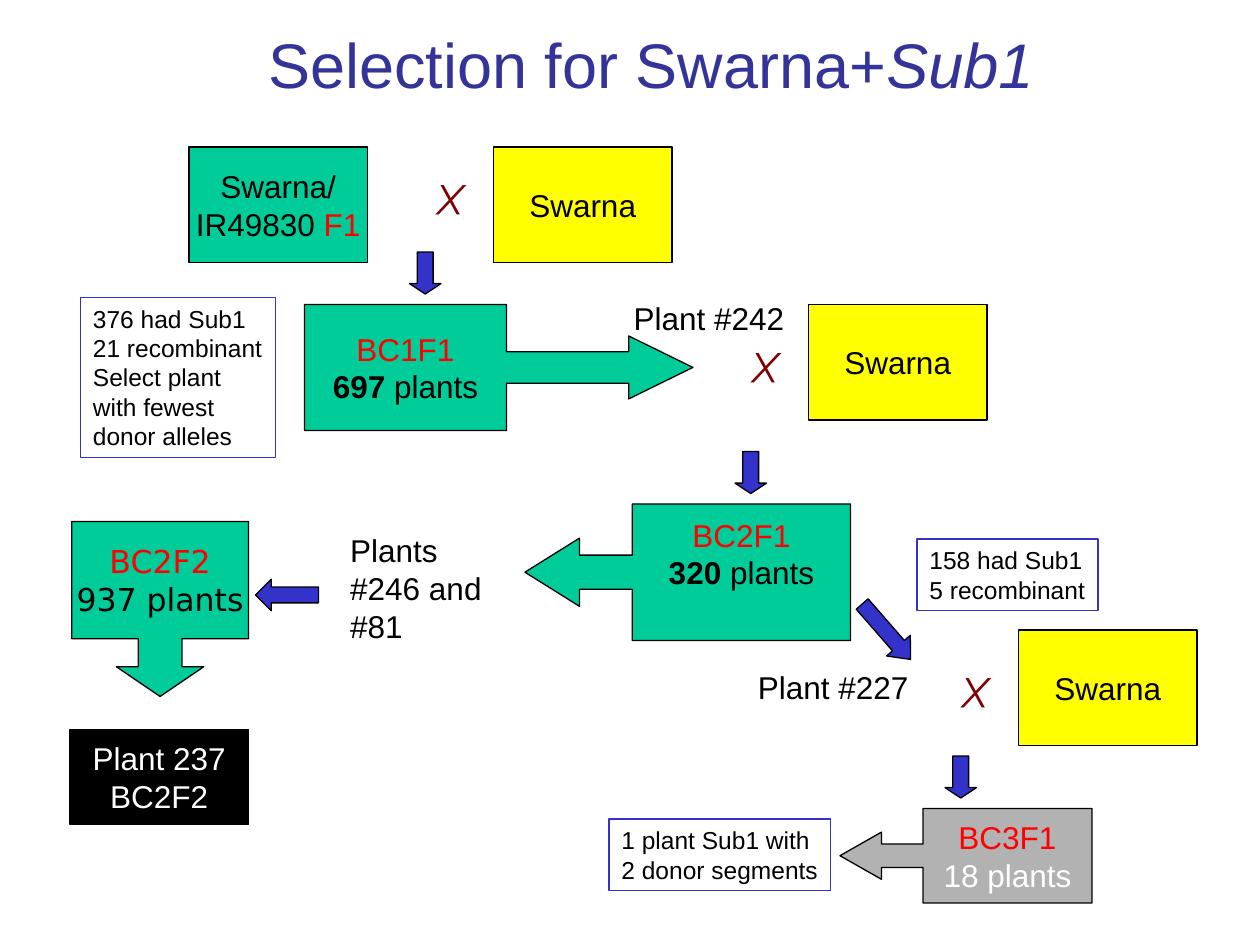
import pptx
import pptx.util
import pptx.dml.color
import pptx.enum.shapes
import pptx.enum.text
import pptx.oxml

Pt = pptx.util.Pt
SHAPE = pptx.enum.shapes.MSO_SHAPE
ALIGN = pptx.enum.text.PP_ALIGN
ANCHOR = pptx.enum.text.MSO_ANCHOR
GREEN, YELLOW, GRAY, BLUE = "00CC99", "FFFF00", "B2B2B2", "3333CC"
BLACK, WHITE, RED, MAROON, NAVY = "000000", "FFFFFF", "FF0000", "800000", "333399"


def color(fill, value):
    fill.solid()
    fill.fore_color.rgb = pptx.dml.color.RGBColor.from_string(value)


def write(box, paragraphs, size=18, font="Arial", align=ALIGN.CENTER, anchor=ANCHOR.MIDDLE, wrap=False):
    frame = box.text_frame
    frame.word_wrap = wrap
    frame.vertical_anchor = anchor
    for index, pieces in enumerate(paragraphs):
        para = frame.paragraphs[0] if index == 0 else frame.add_paragraph()
        para.alignment = align
        for text, shade, *style in pieces:
            span = para.add_run()
            span.text = text
            span.font.size = Pt(size)
            span.font.name = font
            span.font.bold = "bold" in style
            span.font.italic = "italic" in style
            color(span.font.fill, shade)


deck = pptx.Presentation()
deck.slide_width, deck.slide_height = Pt(720), Pt(540)
page = deck.slides.add_slide(deck.slide_layouts[5])

title = page.shapes.title
title.left, title.top, title.width, title.height = Pt(48), Pt(12), Pt(648), Pt(48)
write(title, [[("Selection for Swarna+", NAVY), ("Sub1", NAVY, "italic")]], size=36, wrap=True)

swarna = [[("Swarna", BLACK)]]
generations = [
    (SHAPE.RECTANGLE, 108, 84, 102, 66, GREEN, [], "Arial",
     [[("Swarna/", BLACK)], [("IR49830 ", BLACK), ("F1", RED)]]),
    (SHAPE.RECTANGLE, 282, 84, 102, 66, YELLOW, [], "Arial", swarna),
    (SHAPE.RECTANGLE, 462, 174, 102, 66, YELLOW, [], "Arial", swarna),
    (SHAPE.RECTANGLE, 582, 360, 102, 66, YELLOW, [], "Arial", swarna),
    (SHAPE.RIGHT_ARROW_CALLOUT, 174, 174, 222, 72, GREEN, [0.25, 0.25, 0.51, 0.52], "Arial",
     [[("BC1F1", RED)], [("697", BLACK, "bold"), (" plants", BLACK)]]),
    (SHAPE.LEFT_ARROW_CALLOUT, 300, 288, 186, 78, GREEN, [0.25, 0.25, 0.4, 0.67], "Arial",
     [[("BC2F1", RED)], [("320", BLACK, "bold"), (" plants", BLACK)]]),
    (SHAPE.LEFT_ARROW_CALLOUT, 480, 462, 144, 54, GRAY, [0.25, 0.25, 0.44, 0.67], "Arial",
     [[("BC3F1", RED)], [("18 plants", WHITE)]]),
    (SHAPE.RECTANGLE, 40, 417, 102, 54, BLACK, [], "Arial",
     [[("Plant 237", WHITE)], [("BC2F2", WHITE)]]),
    (SHAPE.DOWN_ARROW_CALLOUT, 41, 298, 101, 100, GREEN, [0.25, 0.25, 0.17, 0.67], "DejaVu Sans",
     [[("BC2F2", RED)], [("937 plants", BLACK)]]),
]
for kind, left, top, width, height, fill, adjustments, font, paragraphs in generations:
    box = page.shapes.add_shape(kind, Pt(left), Pt(top), Pt(width), Pt(height))
    box.shadow.inherit = False
    for index, value in enumerate(adjustments):
        box.adjustments[index] = value
    color(box.fill, fill)
    color(box.line.fill, BLACK)
    box.line.width = Pt(0.75)
    write(box, paragraphs, font=font)
    if paragraphs[0][0][0] == "BC2F1":
        box.text_frame.margin_bottom = Pt(25)

notes = [
    (46, 170, 111.5, 91.5, True, ["376 had Sub1", "21 recombinant", "Select plant with fewest donor alleles"]),
    (524, 308, 103.5, 41, False, ["158 had Sub1", "5 recombinant"]),
    (348, 468, 126.5, 41, False, ["1 plant Sub1 with", "2 donor segments"]),
]
for left, top, width, height, wrap, lines in notes:
    box = page.shapes.add_shape(SHAPE.RECTANGLE, Pt(left), Pt(top), Pt(width), Pt(height))
    box.shadow.inherit = False
    box.fill.background()
    color(box.line.fill, BLUE)
    box.line.width = Pt(0.75)
    write(box, [[(line, BLACK)] for line in lines], size=14, align=ALIGN.LEFT, anchor=ANCHOR.TOP, wrap=wrap)

labels = [
    ("Plant #242", 355, 167.5, 104, 29, False),
    ("Plant #227", 426, 378, 104, 29, False),
    ("Plants #246 and #81", 193, 300, 101.5, 72, True),
]
for text, left, top, width, height, wrap in labels:
    box = page.shapes.add_textbox(Pt(left), Pt(top), Pt(width), Pt(height))
    write(box, [[(text, BLACK)]], align=ALIGN.LEFT, anchor=ANCHOR.TOP, wrap=wrap)

for left, top in [(233.5, 90), (413.5, 186), (533.5, 372)]:
    cross = page.shapes.add_textbox(Pt(left), Pt(top), Pt(28), Pt(51))
    cross.rotation = 90
    write(cross, [[("X", MAROON, "italic")]], size=24, font="Montserrat", align=ALIGN.LEFT)
    frame = cross.text_frame
    frame.margin_left = frame.margin_right = Pt(3.6)
    frame.margin_top = frame.margin_bottom = Pt(7.2)
    frame._txBody.bodyPr.set("vert", "eaVert")
    outline = pptx.oxml.parse_xml(
        '<a:ln xmlns:a="http://schemas.openxmlformats.org/drawingml/2006/main" w="9525">'
        f'<a:solidFill><a:srgbClr val="{MAROON}"/></a:solidFill></a:ln>')
    frame.paragraphs[0].runs[0].font._element.insert(0, outline)

arrows = [
    (SHAPE.DOWN_ARROW, 234, 144, 18, 24, 0.33, 0),
    (SHAPE.DOWN_ARROW, 420, 258, 18, 24, 0.33, 0),
    (SHAPE.DOWN_ARROW, 540, 432, 18, 24, 0.33, 0),
    (SHAPE.LEFT_ARROW, 146, 331, 36, 18, 0.5, 0),
    (SHAPE.DOWN_ARROW, 497.5, 340, 18, 42, 0.58, 318.9),
]
for kind, left, top, width, height, head, angle in arrows:
    arrow = page.shapes.add_shape(kind, Pt(left), Pt(top), Pt(width), Pt(height))
    arrow.shadow.inherit = False
    arrow.adjustments[0] = 0.5
    arrow.adjustments[1] = head
    arrow.rotation = angle
    color(arrow.fill, BLUE)
    color(arrow.line.fill, BLACK)
    arrow.line.width = Pt(0.75)

deck.save("out.pptx")
